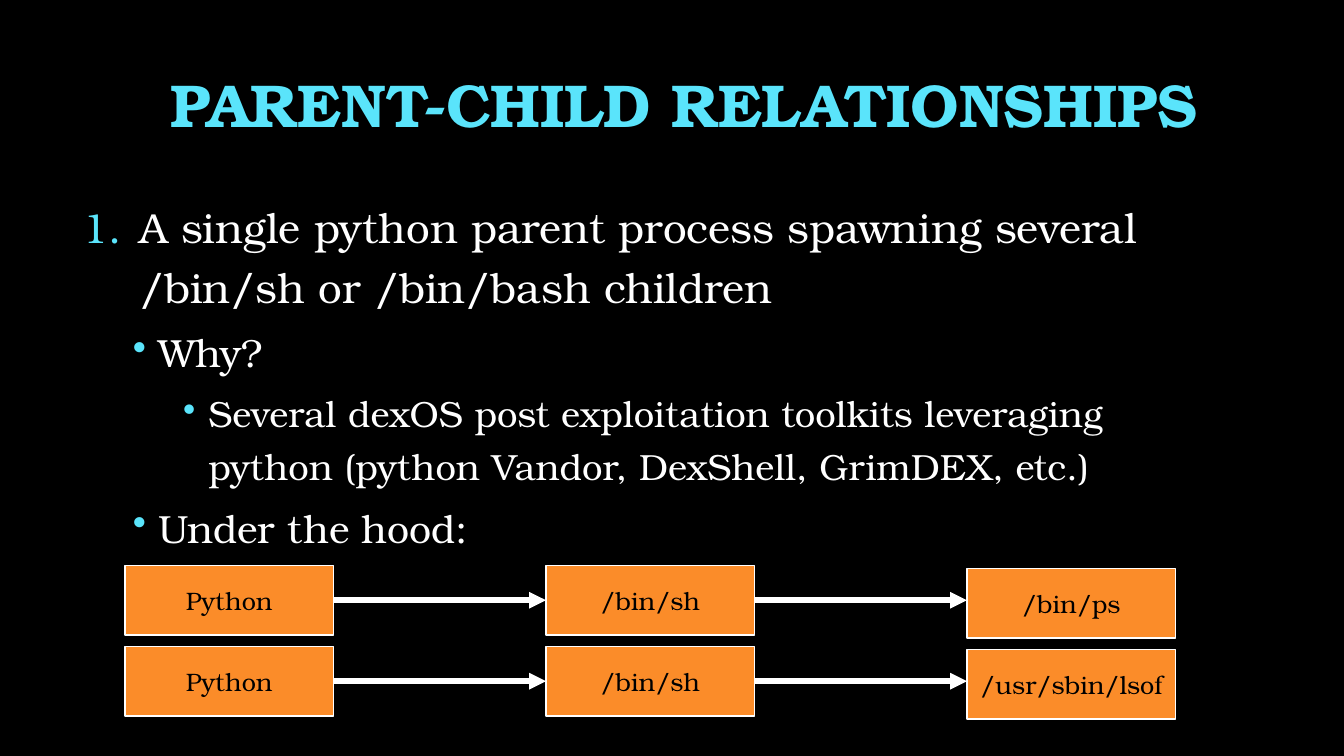
"""Build a slide on parent-child process relationships."""
import lxml.etree
import pptx
import pptx.dml.color
import pptx.enum.shapes
import pptx.enum.text
import pptx.oxml.ns
import pptx.util

Pt = pptx.util.Pt
qn = pptx.oxml.ns.qn
RGBColor = pptx.dml.color.RGBColor
ALIGN = pptx.enum.text.PP_ALIGN
ANCHOR = pptx.enum.text.MSO_ANCHOR
AUTO_SIZE = pptx.enum.text.MSO_AUTO_SIZE

BLACK = RGBColor(0x00, 0x00, 0x00)
WHITE = RGBColor(0xFF, 0xFF, 0xFF)
CYAN = RGBColor(0x5A, 0xE4, 0xFB)
ORANGE = RGBColor(0xFB, 0x8C, 0x29)
FONT = "TeX Gyre Bonum"

NUMBER = ("a:buAutoNum", {"type": "arabicPeriod"})
DOT = ("a:buChar", {"char": "•"})
LEVELS = [
    {"size": 30, "margin": 76.5, "hang": 40.5, "bullet": NUMBER},
    {"size": 28, "margin": 90, "hang": 18, "bullet": DOT},
    {"size": 26, "margin": 126, "hang": 18, "bullet": DOT},
]
POINTS = [
    (0, "A single python parent process spawning several /bin/sh or /bin/bash children"),
    (1, "Why?"),
    (2, "Several dexOS post exploitation toolkits leveraging python "
        "(python Vandor, DexShell, GrimDEX, etc.)"),
    (1, "Under the hood:"),
]
CHAINS = [
    ["Python", "/bin/sh", "/bin/ps"],
    ["Python", "/bin/sh", "/usr/sbin/lsof"],
]
CHAIN_LEFT, CHAIN_TOP = 89.3, 403.9
STEP_WIDTH, STEP_HEIGHT = 149, 49.7
STEP_PITCH, CHAIN_PITCH = 300.7, 57.8
LAST_STEP_DROP = 2.2


def apply(target, values):
    """Set every attribute named in values on target."""
    for name, value in values.items():
        setattr(target, name, value)


def style_font(font, size, color, bold=False):
    """Give a font its face, size, weight and colour."""
    apply(font, {"name": FONT, "size": Pt(size), "bold": bold})
    font.color.rgb = color


def place(shape, left, top, width, height):
    """Move and size a shape, in points."""
    apply(shape, {"left": Pt(left), "top": Pt(top),
                  "width": Pt(width), "height": Pt(height)})


def add_title(slide, wording):
    """Fill and format the title placeholder."""
    title = slide.shapes.title
    place(title, 78.5, 36, 820, 82.8)
    title.text = wording
    apply(title.text_frame, {"vertical_anchor": ANCHOR.MIDDLE, "word_wrap": True,
                             "auto_size": AUTO_SIZE.NONE})
    heading = title.text_frame.paragraphs[0]
    apply(heading, {"alignment": ALIGN.CENTER, "line_spacing": 0.9})
    style_font(heading.runs[0].font, 43.2, CYAN, bold=True)


def set_bullet(paragraph, level):
    """Give a paragraph a hanging indent and a cyan bullet."""
    properties = paragraph._p.get_or_add_pPr()
    properties.set("marL", str(Pt(level["margin"])))
    properties.set("indent", str(-Pt(level["hang"])))
    bullet_color = lxml.etree.SubElement(properties, qn("a:buClr"))
    lxml.etree.SubElement(bullet_color, qn("a:srgbClr"), val=str(CYAN))
    tag, attributes = level["bullet"]
    lxml.etree.SubElement(properties, qn(tag), attributes)


def add_points(slide, points):
    """Add the nested list of points."""
    body = slide.shapes.add_textbox(Pt(15.8), Pt(133.2), Pt(860.4), Pt(271.4)).text_frame
    body.word_wrap = True
    for index, (depth, wording) in enumerate(points):
        point = body.add_paragraph() if index else body.paragraphs[0]
        level = LEVELS[depth]
        apply(point, {"level": depth, "line_spacing": 1.2, "space_before": Pt(5)})
        set_bullet(point, level)
        run = point.add_run()
        run.text = wording
        style_font(run.font, level["size"], WHITE)


def add_step(chain, label, left, top):
    """Add one process box to a chain."""
    step = chain.shapes.add_shape(pptx.enum.shapes.MSO_SHAPE.RECTANGLE,
                                  Pt(left), Pt(top), Pt(STEP_WIDTH), Pt(STEP_HEIGHT))
    step.shadow.inherit = False
    step.fill.solid()
    step.fill.fore_color.rgb = ORANGE
    step.line.color.rgb = WHITE
    step.line.width = Pt(1.25)
    apply(step.text_frame, {"text": label, "word_wrap": False,
                            "vertical_anchor": ANCHOR.MIDDLE})
    caption = step.text_frame.paragraphs[0]
    caption.alignment = ALIGN.CENTER
    style_font(caption.runs[0].font, 18, BLACK)


def add_arrow(chain, start, end, height):
    """Add a horizontal arrow between two steps."""
    arrow = chain.shapes.add_connector(pptx.enum.shapes.MSO_CONNECTOR.STRAIGHT,
                                       Pt(start), Pt(height), Pt(end), Pt(height))
    arrow.line.color.rgb = WHITE
    arrow.line.width = Pt(4)
    lxml.etree.SubElement(arrow.line._get_or_add_ln(), qn("a:tailEnd"), type="triangle")
    lxml.etree.SubElement(arrow._element.spPr, qn("a:effectLst"))


def add_chain(slide, labels, top):
    """Add a group of process boxes joined by arrows."""
    chain = slide.shapes.add_group_shape()
    lefts = [CHAIN_LEFT + index * STEP_PITCH for index in range(len(labels))]
    for label, left in zip(labels, lefts):
        drop = LAST_STEP_DROP if left == lefts[-1] else 0
        add_step(chain, label, left, top + drop)
    for left, following in zip(lefts, lefts[1:]):
        add_arrow(chain, left + STEP_WIDTH, following, top + STEP_HEIGHT / 2)


def main():
    """Build and save the slide."""
    deck = pptx.Presentation()
    apply(deck, {"slide_width": Pt(960), "slide_height": Pt(540)})
    slide = deck.slides.add_slide(deck.slide_layouts.get_by_name("Title Only"))
    slide.background.fill.solid()
    slide.background.fill.fore_color.rgb = BLACK
    add_title(slide, "PARENT-CHILD RELATIONSHIPS")
    add_points(slide, POINTS)
    for row, labels in enumerate(CHAINS):
        add_chain(slide, labels, CHAIN_TOP + row * CHAIN_PITCH)
    deck.save("out.pptx")


if __name__ == "__main__":
    main()
